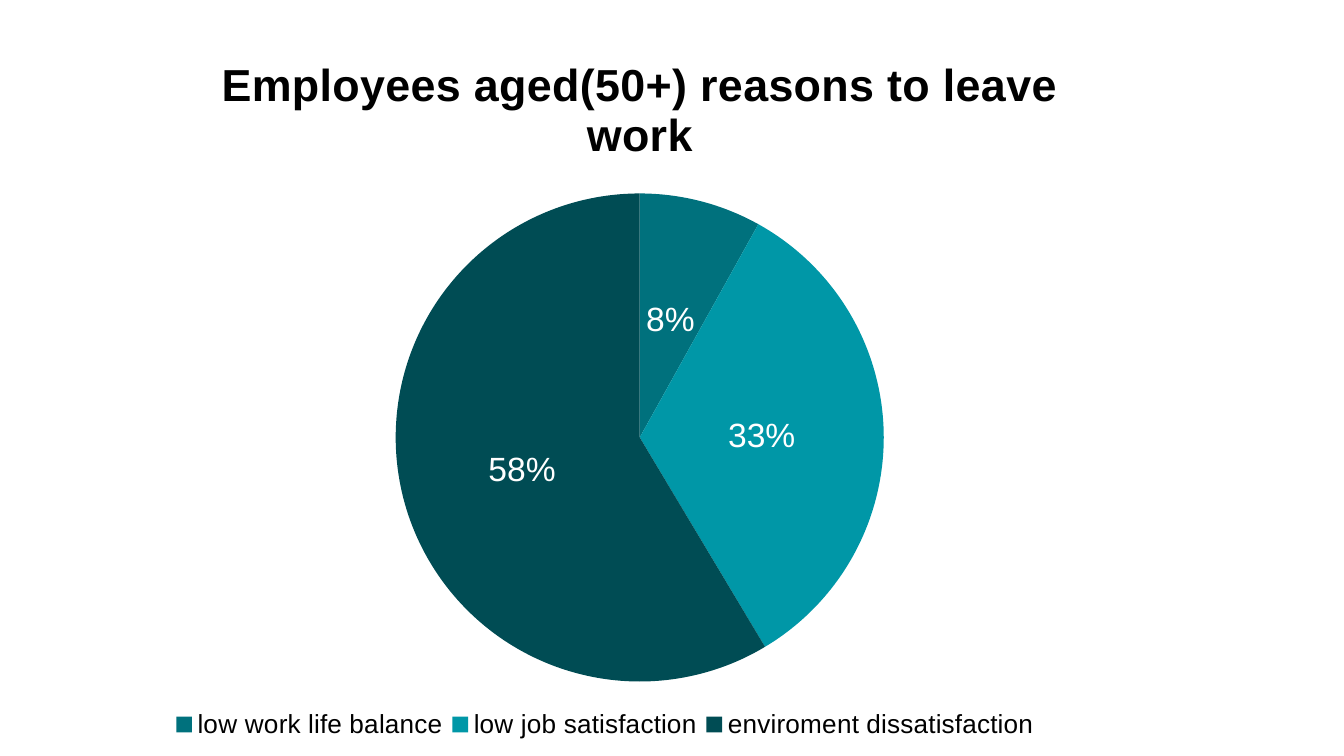
from typing import NamedTuple

from lxml import etree
from pptx import Presentation
from pptx.chart.chart import Chart
from pptx.chart.data import CategoryChartData
from pptx.dml.color import RGBColor
from pptx.enum.chart import XL_CHART_TYPE, XL_LABEL_POSITION, XL_LEGEND_POSITION
from pptx.oxml.ns import qn
from pptx.util import Inches, Pt

PIE = XL_CHART_TYPE.PIE
LABEL_CENTER = XL_LABEL_POSITION.CENTER
LEGEND_BOTTOM = XL_LEGEND_POSITION.BOTTOM

FONT = "Arial"
BLACK = "000000"
WHITE = "FFFFFF"
BLANK_LAYOUT = 6


class Reason(NamedTuple):
    name: str
    percent: int
    color: str


class LegendArea(NamedTuple):
    """Fractions of the chart's width and height."""
    x: float
    y: float
    w: float
    h: float


REASONS = [
    Reason("low work life balance", 8, "00717D"),
    Reason("low job satisfaction", 33, "0097A7"),
    Reason("enviroment dissatisfaction", 58, "004C54"),
]
LEGEND_AREA = LegendArea(x=0.09, y=0.94, w=0.76, h=0.05)


def set_color(color_format, color: str) -> None:
    color_format.rgb = RGBColor.from_string(color)


def style_font(font, size: float, color: str, bold: bool = False) -> None:
    font.name = FONT
    font.size = Pt(size)
    font.bold = bold
    set_color(font.color, color)


def add_reasons_chart(slide, reasons: list[Reason]) -> Chart:
    chart_data = CategoryChartData()
    chart_data.categories = [reason.name for reason in reasons]
    chart_data.add_series("Series 1", [reason.percent for reason in reasons])
    frame = slide.shapes.add_chart(
        PIE, Inches(0.47), Inches(0.19), Inches(8.58), Inches(5.39), chart_data
    )
    return frame.chart


def style_title(chart: Chart, title: str) -> None:
    chart.has_title = True
    text_frame = chart.chart_title.text_frame
    text_frame.text = title
    run = text_frame.paragraphs[0].runs[0]
    style_font(run.font, 24, BLACK, bold=True)
    # Letter spacing in hundredths of a point
    run._r.get_or_add_rPr().set("spc", "20")
    chart.chart_title.include_in_layout = False


def style_legend(chart: Chart, area: LegendArea) -> None:
    chart.has_legend = True
    legend = chart.legend
    legend.position = LEGEND_BOTTOM
    legend.include_in_layout = False
    style_font(legend.font, 14, BLACK)

    # Manual placement of the legend
    element = legend._element
    for old_layout in element.findall(qn("c:layout")):
        element.remove(old_layout)
    layout = etree.Element(qn("c:layout"))
    element.find(qn("c:legendPos")).addnext(layout)
    manual = etree.SubElement(layout, qn("c:manualLayout"))
    for axis in ("x", "y"):
        etree.SubElement(manual, qn(f"c:{axis}Mode"), val="edge")
    for name, fraction in area._asdict().items():
        etree.SubElement(manual, qn(f"c:{name}"), val=str(fraction))


def style_slices(chart: Chart, reasons: list[Reason]) -> None:
    plot = chart.plots[0]
    plot.vary_by_categories = True
    series = plot.series[0]
    for index, reason in enumerate(reasons):
        fill = series.points[index].format.fill
        fill.solid()
        set_color(fill.fore_color, reason.color)

    # The values are whole percentages, so the format only adds the sign
    labels = series.data_labels
    labels.show_value = True
    labels.show_percentage = False
    labels.number_format = '0"%"'
    labels.number_format_is_linked = False
    labels.position = LABEL_CENTER
    style_font(labels.font, 18, WHITE)


def main() -> None:
    presentation = Presentation()
    # Widescreen, 16:9
    presentation.slide_width = Inches(10)
    presentation.slide_height = Inches(10 * 9 / 16)
    slide = presentation.slides.add_slide(presentation.slide_layouts[BLANK_LAYOUT])

    # Pie chart with title, legend and coloured slices
    chart = add_reasons_chart(slide, REASONS)
    style_font(chart.font, 10, BLACK)
    style_title(chart, "Employees aged(50+) reasons to leave work")
    style_legend(chart, LEGEND_AREA)
    style_slices(chart, REASONS)

    presentation.save("out.pptx")


if __name__ == "__main__":
    main()
